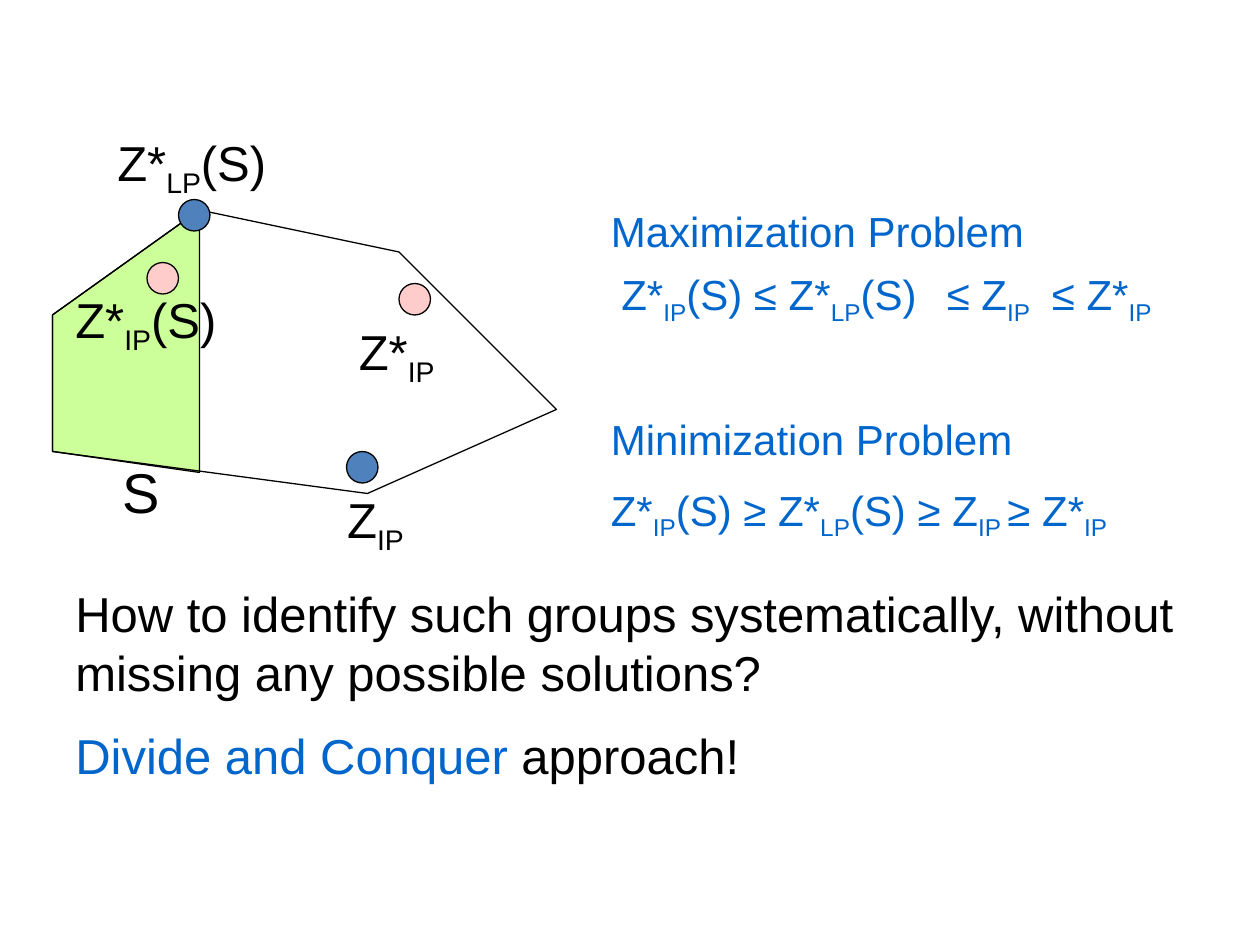
from dataclasses import dataclass
from pptx import Presentation, util as u
from pptx.dml.color import RGBColor
from pptx.enum import shapes, text

Pt = u.Pt


@dataclass(frozen=True)
class Theme:
    font: str = "Arial"
    ink: str = "000000"
    accent: str = "0066CC"
    region: str = "CCFF99"
    integer: str = "FFCCCC"
    relaxed: str = "4F81BD"
    line: float = 0.75
    formula: int = 24
    body: int = 28
    subset: int = 32
    dot: int = 18
    subscript: str = "-25000"


T = Theme()


def paint(shape, fill=None):
    shape.shadow.inherit = False
    if fill:
        shape.fill.solid()
        shape.fill.fore_color.rgb = RGBColor.from_string(fill)
    else:
        shape.fill.background()
    shape.line.color.rgb = RGBColor.from_string(T.ink)
    shape.line.width = Pt(T.line)


def polygon(parent, points, fill=None):
    first, *rest = [(Pt(x), Pt(y)) for x, y in points]
    builder = parent.shapes.build_freeform(*first, scale=1.0)
    builder.add_line_segments(rest, close=True)
    paint(builder.convert_to_shape(), fill)


def add_run(p, content, size, color, sub):
    r = p.add_run()
    r.text = content
    for name, value in {"name": T.font, "size": Pt(size)}.items():
        setattr(r.font, name, value)
    r.font.color.rgb = RGBColor.from_string(color)
    if sub:
        r.font._element.set("baseline", T.subscript)


def label(parent, box, paragraphs, size=T.body):
    tf = parent.shapes.add_textbox(*map(Pt, box)).text_frame
    for name, value in {"word_wrap": True,
                        "auto_size": text.MSO_AUTO_SIZE.SHAPE_TO_FIT_TEXT}.items():
        setattr(tf, name, value)
    for i, parts in enumerate(paragraphs):
        p = tf.add_paragraph() if i else tf.paragraphs[0]
        if i:
            p.space_before = Pt(size / 2)
        for content, color in parts:
            for j, piece in enumerate(content.split("_")):
                if piece:
                    add_run(p, piece, size, color, j % 2 == 1)


def formula(parent, box, *lines):
    label(parent, box, [[(line, T.accent)] for line in lines], T.formula)


def solution(s, dot, fill, box, name):
    group = s.shapes.add_group_shape()
    sp = group.shapes.add_shape(shapes.MSO_SHAPE.OVAL, *map(Pt, (*dot, T.dot, T.dot)))
    paint(sp, fill)
    label(group, box, [[(name, T.ink)]])


def feasible_region(s):
    subset = s.shapes.add_group_shape()
    polygon(subset, [(114, 120), (114, 270), (30, 258), (30, 180)], T.region)
    label(subset, (62.7, 258, 63.3, 45), [[("S", T.ink)]], T.subset)
    polygon(s, [(30, 258), (30, 180), (114, 120), (228, 144), (318, 234), (210, 282)])


def main():
    prs = Presentation()
    prs.slide_width, prs.slide_height = Pt(720), Pt(540)
    s = prs.slides.add_slide(prs.slide_layouts[6])

    feasible_region(s)
    for dot, fill, box, name in [
        ((228, 162), T.integer, (198, 180, 90, 41), "Z*_IP_"),
        ((198, 258), T.relaxed, (191.3, 276, 66.7, 41), "Z_IP_"),
        ((102, 114), T.relaxed, (60, 72, 103, 41), "Z*_LP_(S)"),
        ((84, 150), T.integer, (36, 162, 99, 41), "Z*_IP_(S)"),
    ]:
        solution(s, dot, fill, box, name)

    formula(s, (342, 232.5, 354, 80), "Minimization Problem",
            "Z*_IP_(S) ≥ Z*_LP_(S) ≥ Z_IP _≥ Z*_IP_")
    formula(s, (342, 114, 324, 36), "Maximization Problem")
    for left, width, term in [(348, 210, "Z*_IP_(S) ≤ Z*_LP_(S)"),
                              (594, 126, "≤ Z*_IP_"),
                              (534, 174, "≤ Z_IP_")]:
        formula(s, (left, 150, width, 36), term)

    label(s, (36, 330, 648, 125), [
        [("How to identify such groups systematically, without "
          "missing any possible solutions?", T.ink)],
        [("Divide and Conquer", T.accent), (" approach!", T.ink)],
    ])
    prs.save("out.pptx")


if __name__ == "__main__":
    main()
